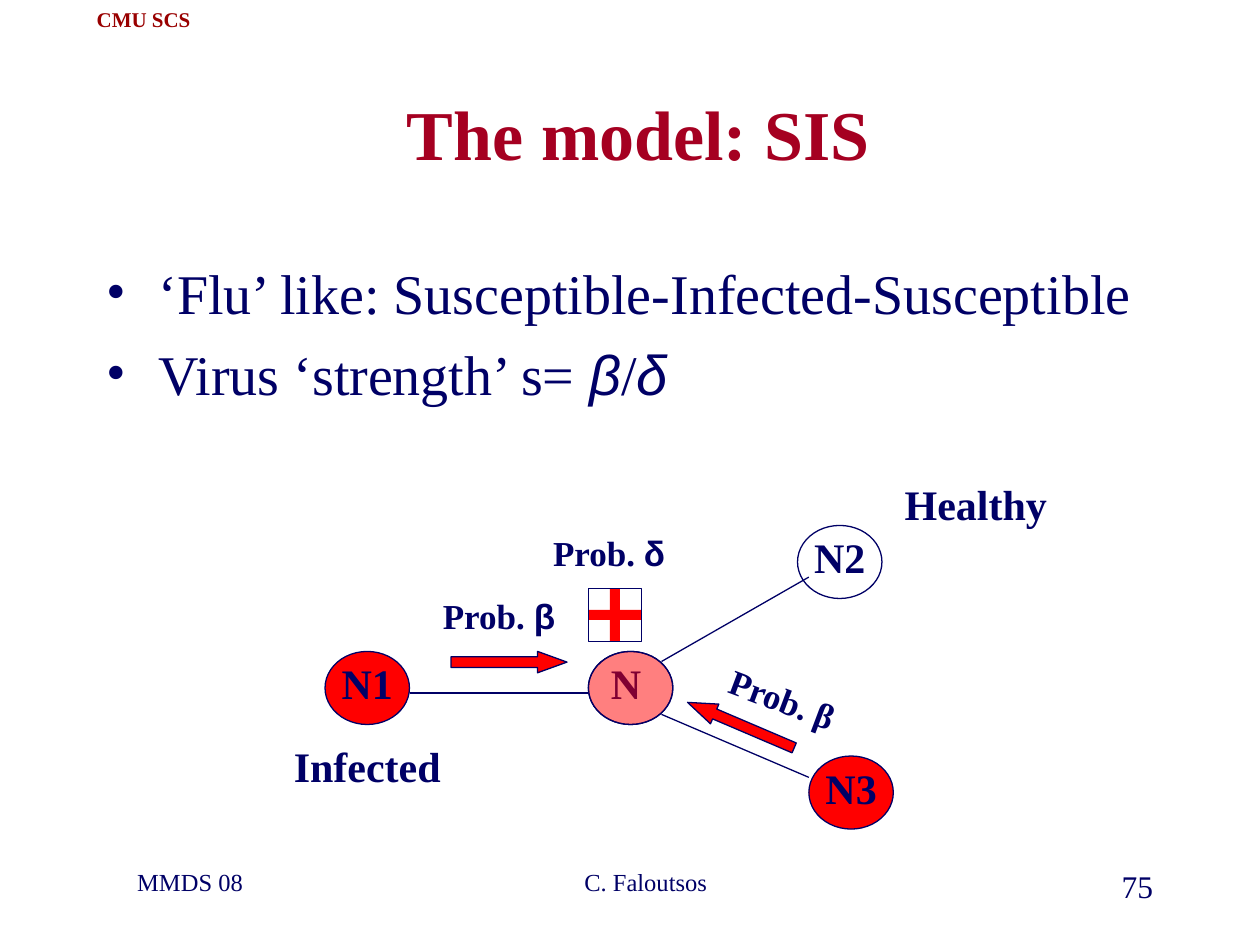
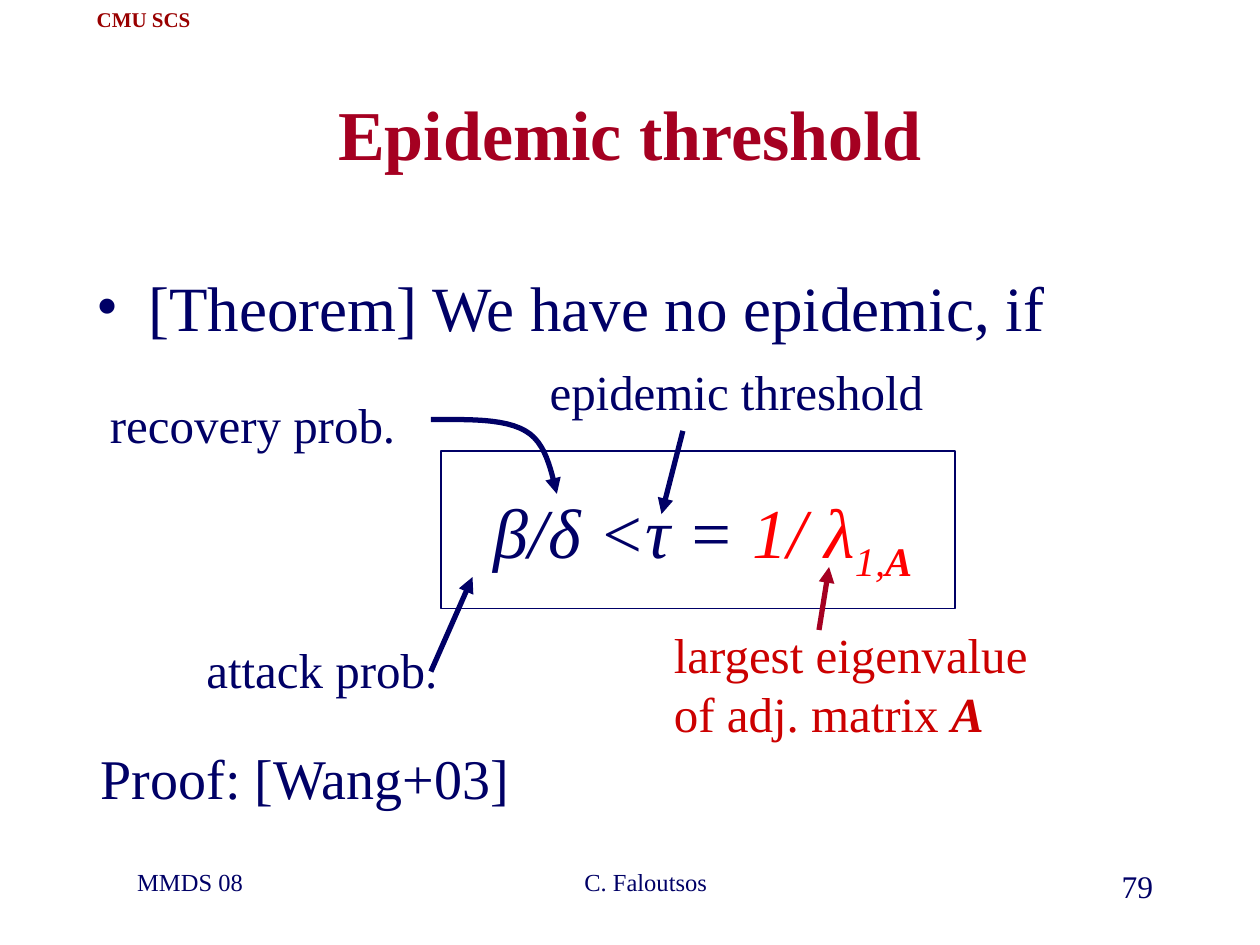
"""Build two slides on the SIS virus model and its epidemic threshold."""
from dataclasses import dataclass

from lxml.etree import SubElement
from pptx import Presentation
from pptx.dml.color import RGBColor
from pptx.enum.shapes import MSO_CONNECTOR, MSO_SHAPE
from pptx.enum.text import MSO_ANCHOR, MSO_AUTO_SIZE, PP_ALIGN
from pptx.oxml.ns import qn
from pptx.util import Inches, Pt


@dataclass(frozen=True)
class Theme:
    serif: str = "Times New Roman"
    sans: str = "Arial"
    navy: str = "000066"
    crimson: str = "A50021"
    maroon: str = "990000"
    red: str = "FF0000"
    dark_red: str = "CC0000"
    title: int = 40
    theorem: int = 36
    body: int = 32
    callout: int = 28
    node: int = 24
    prob: int = 20
    page: int = 18
    footer: int = 14
    header: int = 12
    thin: float = 0.75
    thick: float = 3


THEME = Theme()
LEFT, CENTER, RIGHT = PP_ALIGN.LEFT, PP_ALIGN.CENTER, PP_ALIGN.RIGHT
GREEK = {"name": THEME.sans}
GREEK_ITALIC = {"name": THEME.sans, "italic": True}

HEADER = ("CMU SCS", (0.64, 0, 1, 0.3))
TITLE_BOX = (0.75, 0.67, 8.5, 0.75)
FOOTERS = [
    ("C. Faloutsos", (3.42, 6.83, 3.17, 0.5), THEME.footer, CENTER),
    ("{page}", (7.17, 6.83, 2.08, 0.5), THEME.page, RIGHT),
    ("MMDS 08", (0.75, 6.83, 2.08, 0.5), THEME.footer, LEFT),
]

MODEL_POINTS = [
    ["‘Flu’ like: Susceptible-Infected-Susceptible"],
    ["Virus ‘strength’ s= ", ("β", GREEK_ITALIC), "/", ("δ", GREEK_ITALIC)],
]
NODE_SIZE = (0.67, 0.58)
NODES = [
    ("N3", (6.42, 6), THEME.red),
    ("N1", (2.58, 5.17), THEME.red),
    ("N2", (6.33, 4.17), None),
]
CENTRE_NODE = (4.67, 5.17)
CONTACTS = [
    ((3.25, 5.5), (4.67, 5.5)),
    ((5.25, 5.25), (6.42, 4.58)),
    ((5.25, 5.67), (6.42, 6.17)),
]
STATES = [
    ("Infected", (2.08, 5.83, 1.67, 0.5)),
    ("Healthy", (6.83, 3.75, 1.83, 0.5)),
]
ATTACKS = [
    ((3.58, 5.17, 0.92, 0.17), 0),
    ((5.42, 5.67, 0.92, 0.17), 203.1),
]
ATTACK_PROBS = [
    (["Prob. ", ("β", GREEK)], (3.25, 4.67, 1.42, 0.44), 0),
    (["Prob. β"], (5.5, 5.33, 1.42, 0.44), 20.6),
]
CURE_CORNER, CURE_SIDE, CURE_BAR = (4.67, 4.67), 0.42, 0.08
CURE_PROB = (["Prob. ", ("δ", GREEK)], (4.17, 4.17, 1.33, 0.43))

THEOREM = [["[Theorem] We have no epidemic, if"]]
FORMULA_FRAME = (3.5, 3.58, 4.08, 1.25)
RED = {"color": THEME.red}
FORMULA = [
    "β/δ <τ =",
    (" 1/ λ", RED),
    ("1,", {**RED, "baseline": -25}),
    ("A", {**RED, "baseline": -25, "bold": True}),
]
FORMULA_BOX = (3.82, 3.83, 3.52, 0.86)
EIGENVALUE = [
    ["largest eigenvalue"],
    ["of adj. matrix ", ("A", {"bold": True, "italic": True})],
]
EIGENVALUE_BOX = (5.25, 4.91, 3.01, 1.03)
CALLOUTS = [
    ("attack prob.", (1.54, 5.03, 2.03, 0.57), THEME.callout),
    ("recovery prob.", (0.67, 3.08, 2.67, 0.57), THEME.callout),
    ("epidemic threshold", (4.26, 2.82, 3.17, 0.57), THEME.callout),
    ("Proof: [Wang+03]", (0.68, 5.85, 3.48, 0.63), THEME.body),
]
POINTERS = [
    ((3.42, 5.33), (3.75, 4.58), THEME.navy),
    ((6.5, 5), (6.58, 4.5), THEME.crimson),
    ((5.42, 3.42), (5.25, 4.08), THEME.navy),
]
RECOVERY_CURVE = [
    ((3.42, 3.33), (3.71, 3.33), (4, 3.32), (4.17, 3.42)),
    ((4.17, 3.42), (4.33, 3.51), (4.37, 3.72), (4.42, 3.92)),
]
CURVE_STEPS = 12


def style_font(font, name=None, size=None, color=None, bold=None, italic=None,
               baseline=None):
    if name:
        font.name = name
    if size:
        font.size = Pt(size)
    if color:
        font.color.rgb = RGBColor.from_string(color)
    if bold is not None:
        font.bold = bold
    if italic is not None:
        font.italic = italic
    if baseline:
        font._element.set("baseline", str(baseline * 1000))


def add_bullet(paragraph, color):
    properties = paragraph._p.get_or_add_pPr()
    properties.set("marL", str(Inches(0.41)))
    properties.set("indent", str(-Inches(0.41)))
    tint = SubElement(properties, qn("a:buClr"))
    SubElement(tint, qn("a:srgbClr")).set("val", color)
    SubElement(properties, qn("a:buFont")).set("typeface", THEME.serif)
    SubElement(properties, qn("a:buChar")).set("char", "•")


def add_text(shapes, paragraphs, box, size, align=CENTER, color=THEME.navy,
             bold=False, italic=False, wrap=True, margin=0, bullet=False,
             gap=0, anchor=MSO_ANCHOR.TOP):
    textbox = shapes.add_textbox(*map(Inches, box))
    frame = textbox.text_frame
    frame.word_wrap = wrap
    if not wrap:
        frame.auto_size = MSO_AUTO_SIZE.SHAPE_TO_FIT_TEXT
    frame.vertical_anchor = anchor
    for index, runs in enumerate(paragraphs):
        paragraph = frame.paragraphs[0] if index == 0 else frame.add_paragraph()
        paragraph.alignment = align
        if index and gap:
            paragraph.space_before = Pt(gap)
        if margin:
            paragraph._p.get_or_add_pPr().set("marL", str(Inches(margin)))
        if bullet:
            add_bullet(paragraph, color)
        style_font(paragraph.font, THEME.serif, size, color, bold, italic)
        for part in runs:
            words, changes = (part, {}) if isinstance(part, str) else part
            run = paragraph.add_run()
            run.text = words
            style_font(run.font, **changes)
    return textbox


def set_line(line, color, width):
    line.color.rgb = RGBColor.from_string(color)
    line.width = Pt(width)


def add_preset(shapes, preset, box, fill=None, outline=THEME.navy, alpha=None):
    shape = shapes.add_shape(preset, *map(Inches, box))
    shape.shadow.inherit = False
    if fill:
        shape.fill.solid()
        shape.fill.fore_color.rgb = RGBColor.from_string(fill)
    else:
        shape.fill.background()
    if alpha:
        tint = shape.fill._xPr.find(qn("a:solidFill"))[0]
        SubElement(tint, qn("a:alpha")).set("val", str(alpha * 1000))
    if outline:
        set_line(shape.line, outline, THEME.thin)
    else:
        shape.line.fill.background()
    return shape


def add_arrowhead(line):
    SubElement(line._get_or_add_ln(), qn("a:tailEnd")).set("type", "triangle")


def add_line(shapes, start, end, color=THEME.navy, width=THEME.thin, arrow=False):
    connector = shapes.add_connector(
        MSO_CONNECTOR.STRAIGHT, *map(Inches, (*start, *end)))
    set_line(connector.line, color, width)
    if arrow:
        add_arrowhead(connector.line)
    SubElement(connector._element.spPr, qn("a:effectLst"))


def bezier_point(curve, t):
    weights = ((1 - t) ** 3, 3 * t * (1 - t) ** 2, 3 * t * t * (1 - t), t ** 3)
    return tuple(Inches(sum(w * point[axis] for w, point in zip(weights, curve)))
                 for axis in (0, 1))


def add_curve(shapes, curves):
    points = [bezier_point(curve, step / CURVE_STEPS)
              for curve in curves for step in range(1, CURVE_STEPS + 1)]
    builder = shapes.build_freeform(*bezier_point(curves[0], 0))
    builder.add_line_segments(points, close=False)
    arc = builder.convert_to_shape()
    arc.shadow.inherit = False
    arc.fill.background()
    set_line(arc.line, THEME.navy, THEME.thick)
    add_arrowhead(arc.line)


def add_slide(deck, title, page, title_margin=0):
    shapes = deck.slides.add_slide(deck.slide_layouts[6]).shapes
    header, header_box = HEADER
    add_text(shapes, [[header]], header_box, THEME.header, color=THEME.maroon,
             bold=True, wrap=False, anchor=MSO_ANCHOR.MIDDLE)
    add_text(shapes, [[title]], TITLE_BOX, THEME.title, color=THEME.crimson,
             bold=True, margin=title_margin)
    for words, box, size, align in FOOTERS:
        add_text(shapes, [[words.format(page=page)]], box, size, align, margin=0.24)
    return shapes


def add_cure(shapes):
    left, top = CURE_CORNER
    inset = (CURE_SIDE - CURE_BAR) / 2
    for bar in ((left + inset, top, CURE_BAR, CURE_SIDE),
                (left, top + inset, CURE_SIDE, CURE_BAR)):
        add_preset(shapes, MSO_SHAPE.RECTANGLE, bar, THEME.red, outline=None)
    add_preset(shapes, MSO_SHAPE.RECTANGLE, (left, top, CURE_SIDE, CURE_SIDE))
    words, box = CURE_PROB
    add_text(shapes, [words], box, THEME.prob, bold=True)


def build_model(deck):
    shapes = add_slide(deck, "The model: SIS", 75, title_margin=0.13)
    add_text(shapes, MODEL_POINTS, (0.75, 2, 8.5, 4.5), THEME.body, LEFT,
             bullet=True, gap=8)
    centre_box = (*CENTRE_NODE, *NODE_SIZE)
    add_preset(shapes, MSO_SHAPE.OVAL, centre_box)
    for name, corner, fill in NODES:
        add_preset(shapes, MSO_SHAPE.OVAL, (*corner, *NODE_SIZE), fill)
    for start, end in CONTACTS:
        add_line(shapes, start, end)
    names = [(name, (*corner, 0.67, 0.5)) for name, corner, _ in NODES]
    for words, box in [*STATES, ("N", (4.75, 5.17, 0.43, 0.5)), *names]:
        add_text(shapes, [[words]], box, THEME.node, bold=True)
    add_preset(shapes, MSO_SHAPE.OVAL, centre_box, THEME.red, alpha=50)

    attack = shapes.add_group_shape().shapes
    for box, angle in ATTACKS:
        arrow = add_preset(attack, MSO_SHAPE.RIGHT_ARROW, box, THEME.red)
        arrow.adjustments[1] = 1.376
        arrow.rotation = angle
    for words, box, angle in ATTACK_PROBS:
        add_text(attack, [words], box, THEME.prob, bold=True).rotation = angle
    add_cure(shapes.add_group_shape().shapes)


def build_threshold(deck):
    shapes = add_slide(deck, "Epidemic threshold", 79)
    add_text(shapes, THEOREM, (0.67, 2.08, 8.92, 2.08), THEME.theorem, LEFT,
             bullet=True)
    add_preset(shapes, MSO_SHAPE.RECTANGLE, FORMULA_FRAME)
    add_text(shapes, [FORMULA], FORMULA_BOX, THEME.title, italic=True, wrap=False)
    add_text(shapes, EIGENVALUE, EIGENVALUE_BOX, THEME.callout, LEFT,
             color=THEME.dark_red, wrap=False)
    for words, box, size in CALLOUTS:
        add_text(shapes, [[words]], box, size, wrap=False)
    for start, end, color in POINTERS:
        add_line(shapes, start, end, color, THEME.thick, arrow=True)
    add_curve(shapes, RECOVERY_CURVE)


def main():
    deck = Presentation()
    deck.slide_width, deck.slide_height = Inches(10), Inches(7.5)
    build_model(deck)
    build_threshold(deck)
    deck.save("out.pptx")


if __name__ == "__main__":
    main()
